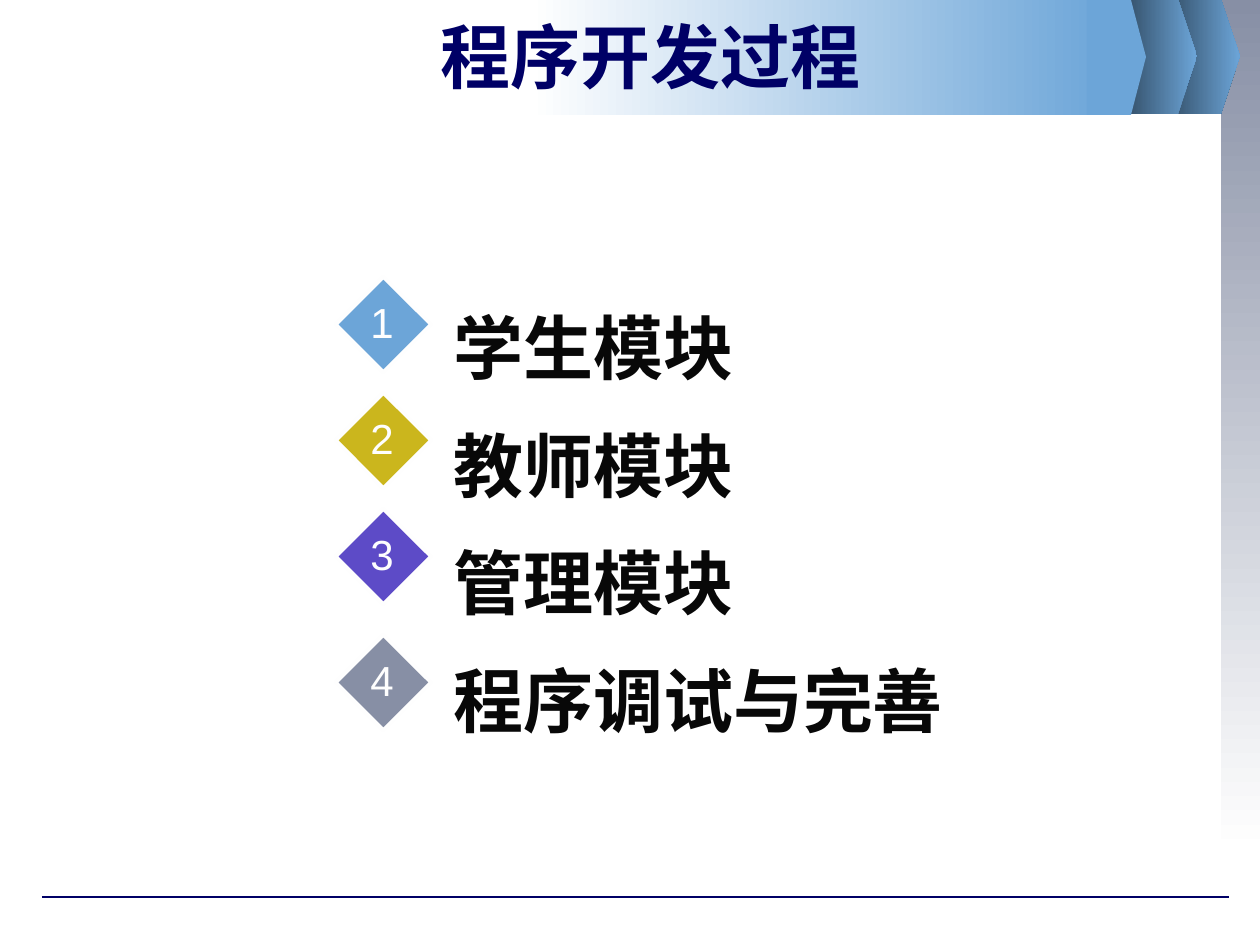
from dataclasses import dataclass

from lxml.etree import SubElement
from pptx import Presentation
from pptx.dml.color import RGBColor
from pptx.enum.shapes import MSO_CONNECTOR, MSO_SHAPE
from pptx.enum.text import MSO_ANCHOR, PP_ALIGN
from pptx.oxml.ns import qn
from pptx.util import Pt

EMU_PER_PX = 914400 / 126


@dataclass(frozen=True)
class Theme:
    navy: str = "000066"
    ink: str = "080808"
    light: str = "FEFEFE"
    white: str = "FFFFFF"
    blue: str = "6CA5D8"
    deep_blue: str = "324C64"
    gold: str = "CBB61D"
    violet: str = "5D4BC7"
    slate: str = "878FA5"
    heading_font: str = "Times New Roman"
    number_font: str = "Arial"
    heading_size: int = 40
    number_size: int = 24


def emu(px):
    return round(px * EMU_PER_PX)


def rgb(code):
    return RGBColor.from_string(code)


class SlideBuilder:
    def __init__(self, slide, theme):
        self.shapes = slide.shapes
        self.theme = theme

    def paint(self, shape, colors, angle=0, outline=None):
        """Fill with one colour, or with a two-colour gradient at the given angle."""
        shape.shadow.inherit = False
        if len(colors) == 1:
            shape.fill.solid()
            shape.fill.fore_color.rgb = rgb(colors[0])
        else:
            shape.fill.gradient()
            shape.fill.gradient_angle = angle
            for stop, position, color in zip(shape.fill.gradient_stops, (0, 1), colors):
                stop.position = position
                stop.color.rgb = rgb(color)
        if outline:
            shape.line.color.rgb = rgb(outline)
            shape.line.width = Pt(2)
        else:
            shape.line.fill.background()

    def preset(self, kind, box, colors, angle=0, outline=None):
        shape = self.shapes.add_shape(kind, *map(emu, box))
        self.paint(shape, colors, angle, outline)

    def arrow_band(self, left, top, width, height, colors):
        """Draw a band whose right quarter narrows to a tip."""
        shoulder, right = left + width * 3 // 4, left + width
        bottom = top + height
        outline = self.shapes.build_freeform(left, top, scale=EMU_PER_PX)
        outline.add_line_segments(
            [(shoulder, top), (right, top + height // 2), (shoulder, bottom), (left, bottom)]
        )
        self.paint(outline.convert_to_shape(), colors)

    def rule(self, left, right, y, color):
        line = self.shapes.add_connector(
            MSO_CONNECTOR.STRAIGHT, emu(left), emu(y), emu(right), emu(y)
        )
        line.line.color.rgb = rgb(color)
        line.line.width = Pt(0.75)
        SubElement(line._element.spPr, qn("a:effectLst"))

    def text(self, box, content, color, font, size, bold=False, align=PP_ALIGN.CENTER,
             anchor=MSO_ANCHOR.TOP, spacing=None, wrap=True):
        frame = self.shapes.add_textbox(*map(emu, box)).text_frame
        frame.word_wrap = wrap
        frame.vertical_anchor = anchor
        frame.text = content
        for paragraph in frame.paragraphs:
            paragraph.alignment = align
            paragraph.line_spacing = spacing
            for run in paragraph.runs:
                run.font.name = font
                run.font.size = Pt(size)
                run.font.bold = bold
                run.font.color.rgb = rgb(color)

    def heading(self, box, content, color, **layout):
        self.text(box, content, color, self.theme.heading_font,
                  self.theme.heading_size, bold=True, **layout)

    def numbered_diamond(self, number, top, color):
        self.preset(MSO_SHAPE.DIAMOND, (336, top, 95, 95), [color], outline=self.theme.light)
        self.text((358, top + 13, 48, 63), str(number), self.theme.light,
                  self.theme.number_font, self.theme.number_size, wrap=False)


def main():
    theme = Theme()
    deck = Presentation()
    deck.slide_width, deck.slide_height = emu(1260), emu(945)
    page = SlideBuilder(deck.slides.add_slide(deck.slide_layouts[6]), theme)

    page.preset(MSO_SHAPE.RECTANGLE, (1221, 0, 39, 853), [theme.slate, theme.white], angle=270)
    page.rule(42, 1229, 897, theme.navy)
    for left in (1166, 1123):
        page.arrow_band(left, -1, 74, 115, [theme.deep_blue, theme.blue])
    page.preset(MSO_SHAPE.RECTANGLE, (530, 0, 580, 115), [theme.white, theme.blue])
    page.arrow_band(1087, 0, 59, 115, [theme.blue])

    page.heading((157, 15, 987, 82), "程序开发过程", theme.navy, anchor=MSO_ANCHOR.MIDDLE)

    modules = ["学生模块", "教师模块", "管理模块", "程序调试与完善"]
    page.heading((441, 265, 536, 484), "\n".join(modules), theme.ink,
                 align=PP_ALIGN.LEFT, spacing=1.4)
    markers = [(277, theme.blue), (393, theme.gold), (509, theme.violet), (635, theme.slate)]
    for number, (top, color) in enumerate(markers, start=1):
        page.numbered_diamond(number, top, color)

    deck.save("out.pptx")


if __name__ == "__main__":
    main()
